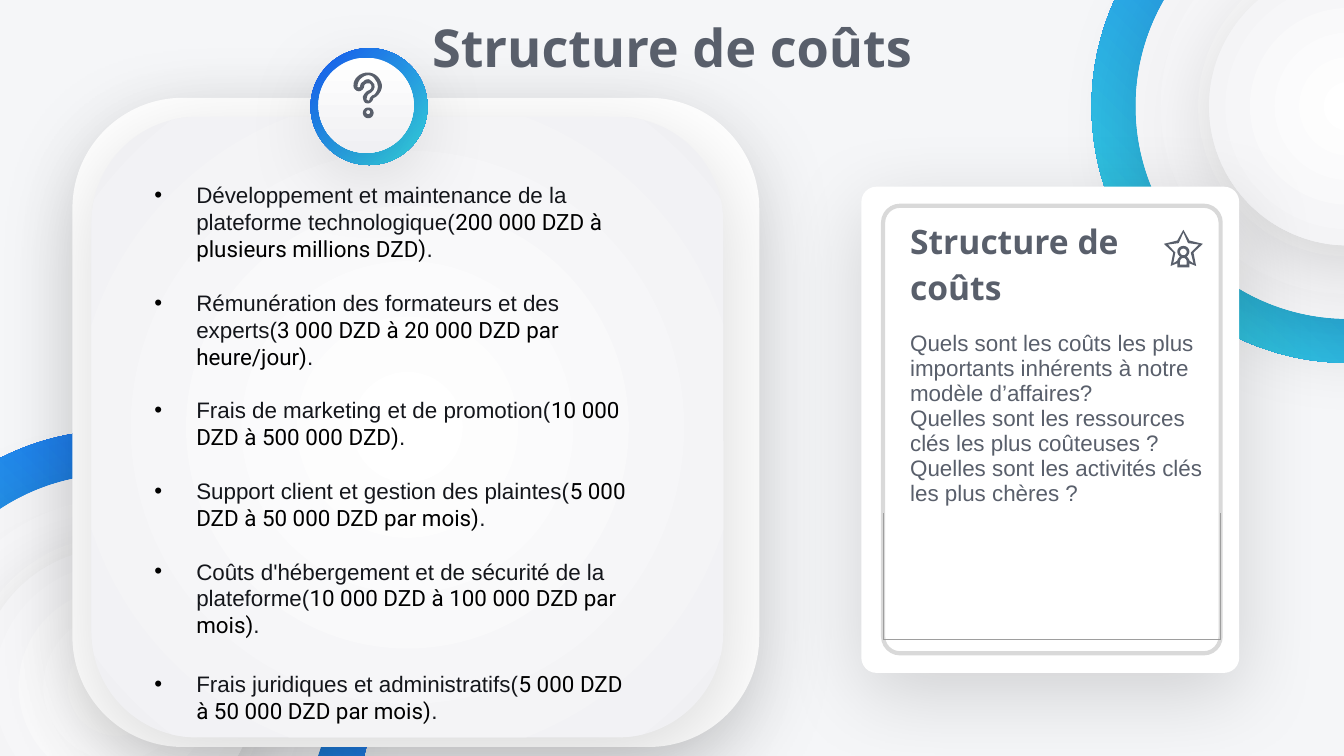
from math import cos, sin, tau

from lxml.etree import SubElement
from pptx import Presentation
from pptx.dml.color import RGBColor as RGB
from pptx.enum.shapes import MSO_SHAPE as SHAPE
from pptx.enum.text import MSO_ANCHOR as ANCHOR, PP_ALIGN as ALIGN
from pptx.oxml.ns import qn
from pptx.util import Cm, Pt

# Content
TITLE = "Structure de coûts"
COSTS = [
    ("Développement et maintenance de la plateforme technologique", "200 000 DZD à plusieurs millions DZD"),
    ("Rémunération des formateurs et des experts", "3 000 DZD à 20 000 DZD par heure/jour"),
    ("Frais de marketing et de promotion", "10 000 DZD à 500 000 DZD"),
    ("Support client et gestion des plaintes", "5 000 DZD à 50 000 DZD par mois"),
    ("Coûts d'hébergement et de sécurité de la plateforme", "10 000 DZD à 100 000 DZD par mois"),
    ("Frais juridiques et administratifs", "5 000 DZD à 50 000 DZD par mois"),
]
QUESTIONS = [
    "Quels sont les coûts les plus importants inhérents à notre modèle d’affaires?",
    "Quelles sont les ressources clés les plus coûteuses ? Quelles sont les activités clés les plus chères ?",
]

THEME = {
    "back": "F5F6F8", "white": "FFFFFF", "pale": "F0F0F3", "frame": "D9D9D9",
    "rule": "9E9E9E", "slate": "595F6B", "ink": "14161B", "black": "000000",
    "blue": "1658F1", "cyan": "36DBE0",
    "head": "Open Sans", "body": "Arial", "amount": "Roboto",
    "title_pt": 28, "card_pt": 18, "text_pt": 12, "line_pt": 14.4,
}

# Layout in centimetres
RING_CENTRES = [(25.48, 2.01), (2.21, 12.98)]
RING_SIZES = [9.7, 8.03, 5.26]
ICON_UNIT = Cm(0.0254)

# Icon outlines: two numbers are a corner, six are a curve
HOOK = [
    [(274, 54), (271, 54, 268, 55, 266, 57), (264, 59, 263, 61, 263, 64),
     (263, 66, 265, 68, 267, 68), (269, 68, 271, 66, 271, 64), (271, 63, 272, 62, 274, 62),
     (274, 62, 275, 62, 275, 62), (277, 63, 277, 66, 275, 67), (272, 68, 271, 70, 270, 72),
     (270, 74, 271, 77, 273, 77), (275, 77.5, 277, 76, 278, 73), (281, 72, 283, 69, 284, 66),
     (285, 63, 283, 59, 281, 57), (279, 55, 276, 54, 274, 54)],
    [(274, 56), (276, 56, 278, 57, 279, 59), (282, 62, 282, 67, 279, 70),
     (279, 70, 278, 71, 277, 71), (276, 72, 275, 73, 275, 74), (275, 75, 274, 75, 274, 75),
     (273, 74, 272, 74, 273, 73), (273, 71, 274, 70, 276, 69), (279, 67, 280, 63, 277, 61),
     (276, 60, 275, 59, 274, 59), (272, 59, 271, 60, 270, 61), (269, 61, 268, 63, 268, 64),
     (268, 65, 268, 65, 267, 65), (266, 65, 266, 65, 266, 64), (266, 62, 267, 60, 268, 59),
     (270, 57, 272, 56, 274, 56)],
]
STAR = [
    [(880.5, 171), (876, 179), (866, 181.5), (873, 188), (871, 198), (876, 196), (876, 199),
     (885, 199), (885, 196), (890, 198), (888, 188), (895, 181.5), (885, 179)],
    [(880.5, 173), (884, 181), (892, 182), (886, 188), (888, 196), (885, 194),
     (885, 193, 884, 192, 883, 191), (884, 190, 885, 189, 885, 187), (885, 185, 883, 183, 880.5, 183),
     (878, 183, 876, 185, 876, 187), (876, 189, 877, 190, 878, 191), (877, 192, 876, 193, 876, 194),
     (873, 196), (874.5, 188), (869, 182), (877, 181)],
    [(878, 197), (878, 195), (878, 193, 879, 192, 880.5, 192), (882, 192, 883, 193, 883, 195), (883, 197)],
]

deck = Presentation()
deck.slide_width, deck.slide_height = Cm(25.4), Cm(14.29)
slide = deck.slides.add_slide(deck.slide_layouts[6])
shapes = slide.shapes


def colour(name):
    return RGB.from_string(THEME[name])


def paint(shape, fill, angle=None):
    """One name is a solid, two are a gradient: linear with an angle, else radial."""
    if fill is None:
        shape.fill.background()
    elif isinstance(fill, str):
        shape.fill.solid()
        shape.fill.fore_color.rgb = colour(fill)
    else:
        shape.fill.gradient()
        for stop, name, place in zip(shape.fill.gradient_stops, fill, (0, 1)):
            stop.color.rgb, stop.position = colour(name), place
        if angle is not None:
            shape.fill.gradient_angle = 360 - angle
        else:
            linear = shape._element.xpath(".//a:lin")[0]
            gradient = linear.getparent()
            gradient.remove(linear)
            radial = SubElement(gradient, qn("a:path"), path="circle")
            SubElement(radial, qn("a:fillToRect"), l="50000", t="50000", r="50000", b="50000")


def cast_shadow(shape):
    effects = shape._element.spPr.find(qn("a:effectLst"))
    outer = SubElement(effects, qn("a:outerShdw"), blurRad=str(Pt(45)), dist=str(Pt(11.2)),
                       dir="5100000", algn="ctr", rotWithShape="0")
    tint = SubElement(outer, qn("a:srgbClr"), val=THEME["black"])
    SubElement(tint, qn("a:alpha"), val="15000")


def add(kind, box, fill, angle=None, corner=None, shadow=True):
    shape = shapes.add_shape(kind, *map(Cm, box))
    shape.shadow.inherit = False
    paint(shape, fill, angle)
    shape.line.fill.background()
    if corner:
        shape.adjustments[0] = corner
    if shadow:
        cast_shadow(shape)
    return shape


def style(font, face=None, size=None, ink=None, bold=None):
    if face:
        font.name = THEME[face]
    if size:
        font.size = Pt(THEME[size])
    if ink:
        font.color.rgb = colour(ink)
    font.bold = bold


def text_frame(box):
    frame = shapes.add_textbox(*map(Cm, box)).text_frame
    frame.word_wrap = True
    frame.margin_left = frame.margin_right = frame.margin_top = frame.margin_bottom = Cm(0.25)
    return frame


def trace(outline):
    points = [outline[0]]
    for step in outline[1:]:
        if len(step) == 2:
            points.append(step)
            continue
        ctrl = [points[-1], step[:2], step[2:4], step[4:]]
        for t in (0.25, 0.5, 0.75, 1):
            weights = ((1 - t) ** 3, 3 * t * (1 - t) ** 2, 3 * t * t * (1 - t), t ** 3)
            points.append(tuple(sum(w * p[axis] for w, p in zip(weights, ctrl)) for axis in (0, 1)))
    return points


def circle(x, y, radius):
    return [(x + radius * cos(tau * i / 24), y + radius * sin(tau * i / 24)) for i in range(24)]


def draw_icon(parent, outlines):
    contours = [[(x * ICON_UNIT, y * ICON_UNIT) for x, y in trace(o)] for o in outlines]
    pen = parent.build_freeform(*contours[0][0])
    for index, contour in enumerate(contours):
        if index:
            pen.move_to(*contour[0])
        pen.add_line_segments(contour[1:], close=True)
    icon = pen.convert_to_shape()
    icon.shadow.inherit = False
    paint(icon, "slate")
    icon.line.fill.background()


# Background and corner rings
slide.background.fill.solid()
slide.background.fill.fore_color.rgb = colour("back")
for x, y in RING_CENTRES:
    for level, size in enumerate(RING_SIZES):
        fill, angle = ((("white", "pale"), None) if level else (("blue", "cyan"), 45))
        ring = add(SHAPE.OVAL, (x - size / 2, y - size / 2, size, size), fill, angle, shadow=level > 0)
        ring.rotation = 90

# Card, cost panel and badge
add(SHAPE.ROUNDED_RECTANGLE, (16.28, 3.53, 7.14, 9.19), "white", corner=0.04)
frame = add(SHAPE.ROUNDED_RECTANGLE, (16.69, 3.89, 6.38, 8.46), None, corner=0.05, shadow=False)
frame.line.color.rgb, frame.line.width = colour("frame"), Pt(2.25)
add(SHAPE.ROUNDED_RECTANGLE, (1.37, 1.85, 12.98, 12.27), "white", corner=0.17)
add(SHAPE.ROUNDED_RECTANGLE, (1.73, 2.21, 11.94, 11.73), ("white", "pale"), corner=0.17)
add(SHAPE.OVAL, (5.87, 0.91, 2.21, 2.21), ("blue", "cyan"), 45, shadow=False)
add(SHAPE.OVAL, (6.02, 1.09, 1.8, 1.8), ("white", "pale"), 90)

# Card table
table = shapes.add_table(3, 1, *map(Cm, (16.69, 3.89, 6.38, 8.17))).table
table.first_row = table.horz_banding = False
for row, height, ruled in zip(table.rows, (5.79, 1.19, 1.19), ("", "LR", "LRB")):
    row.height = Cm(height)
    cell = row.cells[0]
    cell.margin_top = cell.margin_bottom = Cm(0.13)
    style(cell.text_frame.paragraphs[0].font, "body", "text_pt")
    properties = cell._tc.get_or_add_tcPr()
    for side in "LRTB":
        border = SubElement(properties, qn(f"a:ln{side}"), w=str(Pt(0.75)))
        if side in ruled:
            SubElement(SubElement(border, qn("a:solidFill")), qn("a:srgbClr"), val=THEME["rule"])
        else:
            SubElement(border, qn("a:noFill"))
    cell.fill.background()

card = table.cell(0, 0)
card.margin_left, card.margin_right, card.margin_top = Cm(0.51), Cm(0.25), Cm(0.25)
card.text_frame.text = "\n".join([TITLE, *QUESTIONS])
heading, *questions = card.text_frame.paragraphs
style(heading.font, "head", "card_pt", "slate", True)
for question in questions:
    style(question.font, "body", "text_pt", "slate", False)
questions[0].space_before = Pt(11)

# Title
title = text_frame((1.98, 0.36, 21.44, 1.04))
title.vertical_anchor = ANCHOR.MIDDLE
title.text = TITLE
title.paragraphs[0].alignment = ALIGN.CENTER
style(title.paragraphs[0].font, "head", "title_pt", "slate", True)

# Cost list
cost_list = text_frame((2.67, 3.18, 9.47, 9.86))
for index, (label, amount) in enumerate(COSTS):
    item = cost_list.add_paragraph() if index else cost_list.paragraphs[0]
    layout = item._p.get_or_add_pPr()
    layout.set("marL", str(Cm(0.79)))
    layout.set("indent", str(-Cm(0.79)))
    SubElement(SubElement(layout, qn("a:buClr")), qn("a:srgbClr"), val=THEME["black"])
    SubElement(layout, qn("a:buFont"), typeface=THEME["body"])
    SubElement(layout, qn("a:buChar"), char="•")
    item.line_spacing = Pt(THEME["line_pt"])
    if index:
        item.space_before = Pt(THEME["line_pt"])
    style(item.font, size="text_pt")
    for words, face, ink in ((label + "(", "body", "ink"), (amount + ")", "amount", "black"), (".", "body", "ink")):
        run = item.add_run()
        run.text = words
        style(run.font, face, ink=ink)
item.space_before = Pt(17)

# Icons
question_mark = shapes.add_group_shape().shapes
draw_icon(question_mark, HOOK)
draw_icon(question_mark, [circle(274, 84, 4), circle(274, 83.5, 1.5)])
draw_icon(shapes, STAR + [circle(880.5, 187.5, 2.5)])

deck.save("out.pptx")
